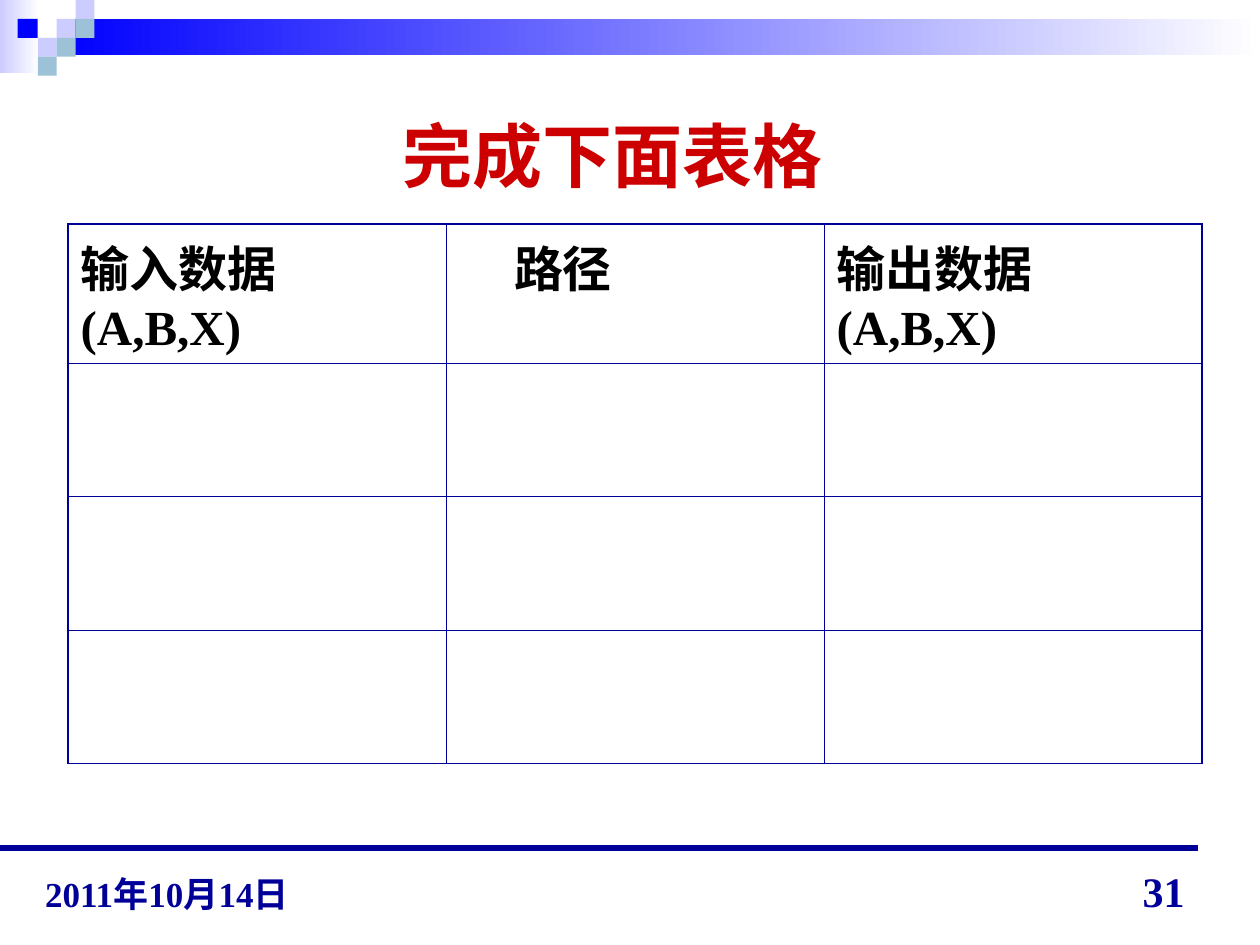
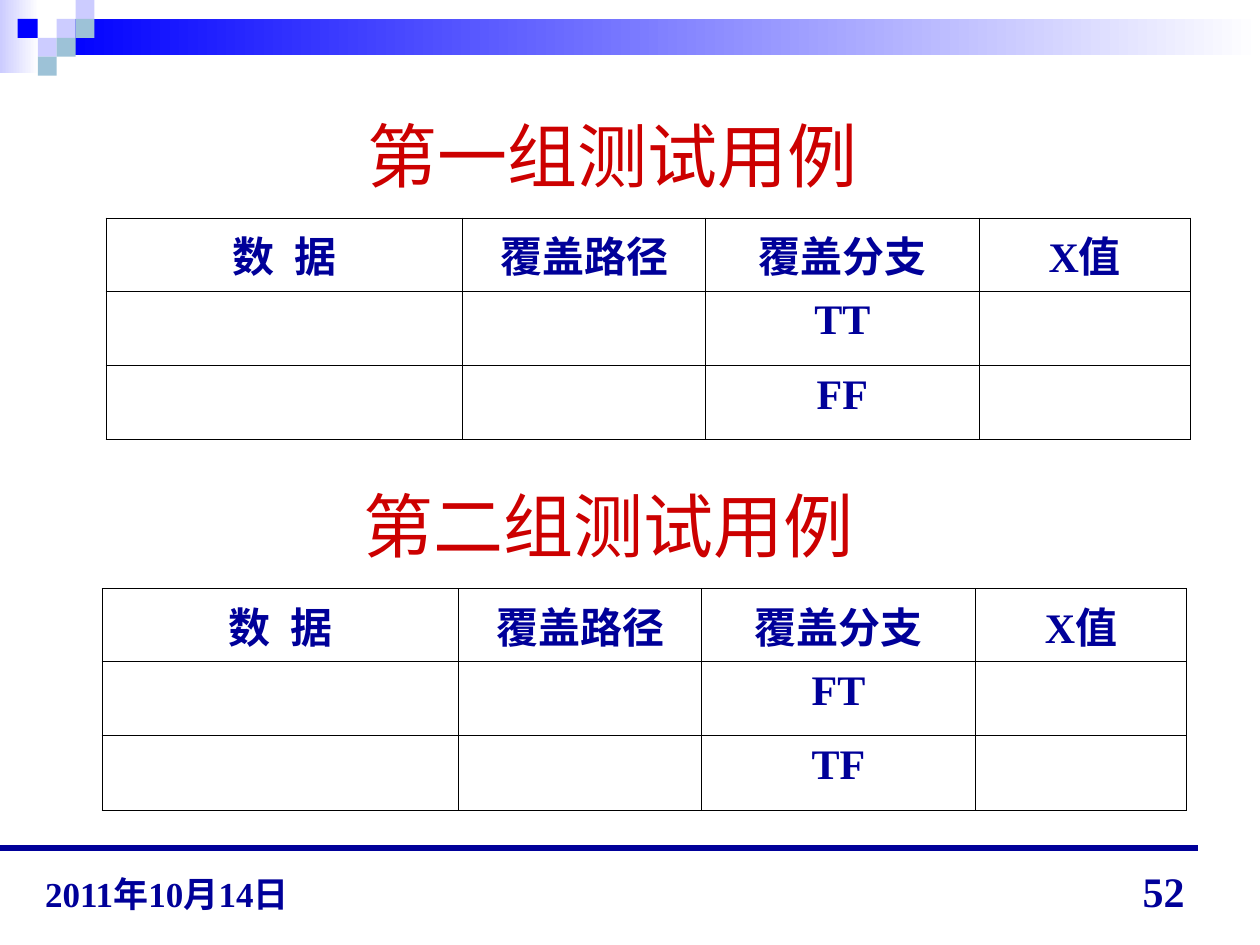
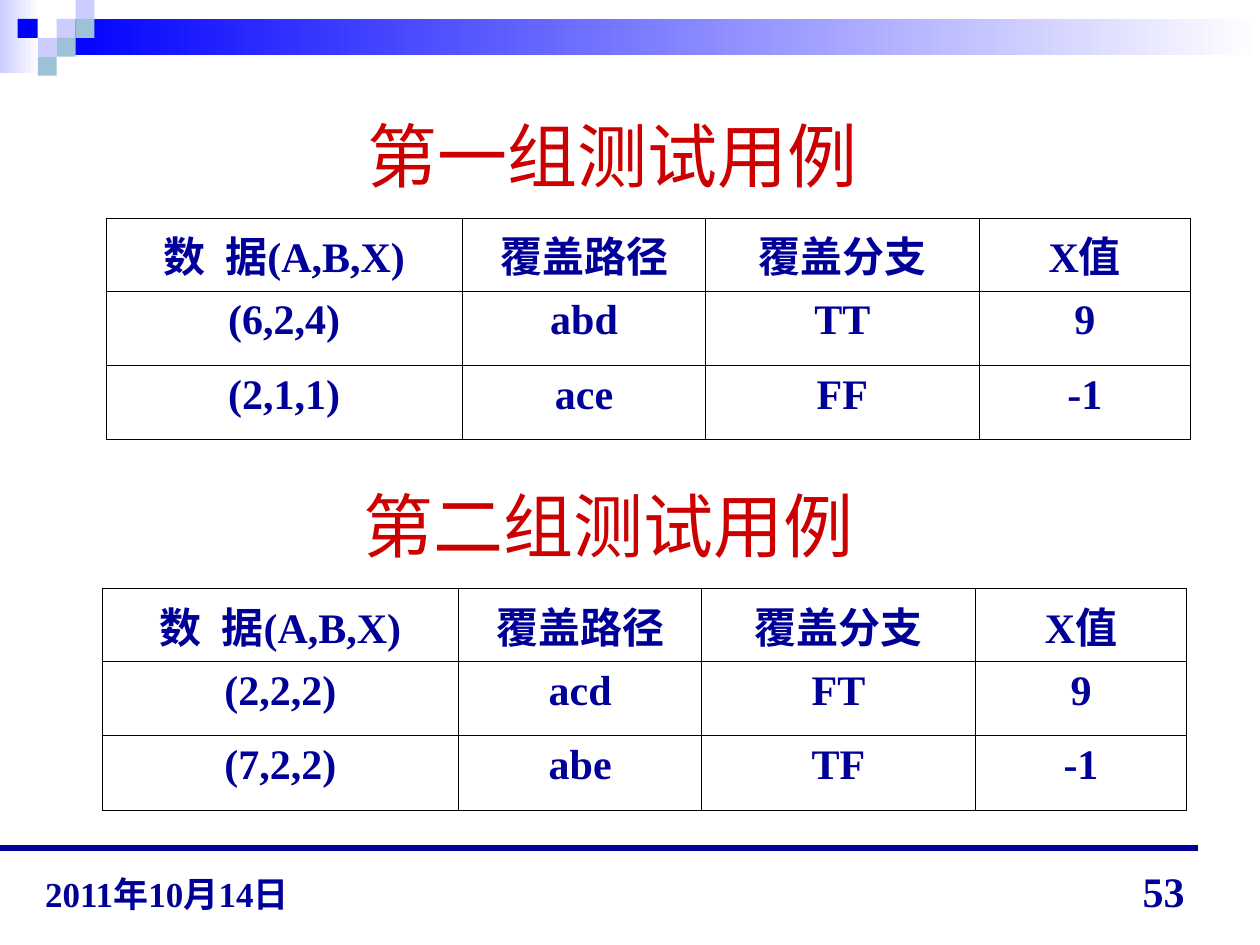
"""Build three slides of path-coverage test tables."""
from lxml.etree import SubElement
from pptx import Presentation
from pptx.dml.color import RGBColor
from pptx.enum.shapes import MSO_CONNECTOR, MSO_SHAPE
from pptx.enum.text import MSO_ANCHOR, MSO_AUTO_SIZE, PP_ALIGN
from pptx.oxml import parse_xml
from pptx.oxml.ns import nsdecls, qn
from pptx.util import Pt

PX = 9144
NAVY = RGBColor(0x00, 0x00, 0x99)
BLUE = RGBColor(0x00, 0x00, 0xFF)
LILAC = RGBColor(0xCC, 0xCC, 0xFF)
TEAL = RGBColor(0x9D, 0xC2, 0xD7)
RED = RGBColor(0xCC, 0x00, 0x00)
WHITE = RGBColor(0xFF, 0xFF, 0xFF)
BLACK = RGBColor(0x00, 0x00, 0x00)

TITLE = {"name": "Arial", "size": Pt(40), "bold": False}
TITLE_BOLD = {**TITLE, "bold": True}
HEAD = {"name": "Times New Roman", "size": Pt(28), "bold": True}
BODY = {**HEAD, "size": Pt(24)}
DATE = {**HEAD, "size": Pt(20)}
THIN, THICK = Pt(0.45), Pt(1.08)


def write(tf, text, fmt, color, align, anchor=MSO_ANCHOR.TOP):
    """Fill a text frame with one formatted line, widening a word space."""
    tf.word_wrap = True
    tf.vertical_anchor = anchor
    p = tf.paragraphs[0]
    p.alignment = align
    for part in filter(None, text.partition(" ")):
        r = p.add_run()
        r.text = part
        for key, value in fmt.items():
            setattr(r.font, key, value)
        r.font.color.rgb = color
        if part == " ":
            r._r.get_or_add_rPr().set("spc", "600")


def add_grid(s, box, cols, heights, rows, fmt, color, align, line, outer):
    """Add a plain table with ruled cells."""
    tbl = s.shapes.add_table(len(rows), len(cols), *[v * PX for v in box]).table
    tbl.first_row = tbl.horz_banding = False
    for col, width in zip(tbl.columns, cols):
        col.width = width * PX
    for i, (row, height) in enumerate(zip(rows, heights)):
        tbl.rows[i].height = height * PX
        for j, text in enumerate(row):
            cell = tbl.cell(i, j)
            cell.fill.background()
            if text:
                write(cell.text_frame, text, fmt, color, align)
            edges = {"L": j == 0, "R": j == len(cols) - 1, "T": i == 0, "B": i == len(rows) - 1}
            tcPr = cell._tc.get_or_add_tcPr()
            for n, (side, outside) in enumerate(edges.items()):
                tcPr.insert(n, parse_xml(
                    f'<a:ln{side} {nsdecls("a")} w="{outer if outside else THIN}">'
                    f'<a:solidFill><a:srgbClr val="{line}"/></a:solidFill></a:ln{side}>'))
    return tbl


prs = Presentation()
prs.slide_width, prs.slide_height = 1000 * PX, 750 * PX
layout = prs.slide_layouts[5]
slides = [prs.slides.add_slide(layout) for _ in range(3)]

band = [
    (0, 0, 31, 58, LILAC, True),
    (45, 15, 955, 29, BLUE, True),
    (45, 15, 15, 15, LILAC, False),
    (60, 0, 15, 15, LILAC, False),
    (60, 15, 15, 15, TEAL, False),
    (30, 30, 15, 15, LILAC, False),
    (14, 15, 16, 15, BLUE, False),
    (45, 30, 15, 15, TEAL, False),
    (30, 45, 15, 15, TEAL, False),
]
shared = []
for *box, color, fades in band:
    sp = slides[0].shapes.add_shape(MSO_SHAPE.RECTANGLE, *[v * PX for v in box])
    sp.shadow.inherit = False
    sp.line.fill.background()
    if fades:
        sp.fill.gradient()
        sp.fill.gradient_angle = 0
        for stop, tint in zip(sp.fill.gradient_stops, (color, WHITE)):
            stop.color.rgb = tint
    else:
        sp.fill.solid()
        sp.fill.fore_color.rgb = color
    shared.append(sp)

rule = slides[0].shapes.add_connector(MSO_CONNECTOR.STRAIGHT, 0, 673 * PX, 951 * PX, 673 * PX)
rule.line.color.rgb = NAVY
rule.line.width = Pt(3.25)
SubElement(rule.element.spPr, qn("a:effectLst"))
shared.append(rule)

for n, sp in enumerate(shared, 100):
    sp.element.xpath(".//p:cNvPr")[0].set("id", str(n))
    prs.slide_master.shapes.element.append(sp.element)

pages = [
    ("31", "完成下面表格", TITLE_BOLD),
    ("52", "第一组测试用例", TITLE),
    ("53", "第一组测试用例", TITLE),
]
for s, (number, title, fmt) in zip(slides, pages):
    sp = s.shapes.title
    sp.left, sp.top, sp.width, sp.height = [v * PX for v in (36, 48, 900, 150)]
    sp.text_frame.auto_size = MSO_AUTO_SIZE.NONE
    write(sp.text_frame, title, fmt, RED, PP_ALIGN.CENTER, MSO_ANCHOR.MIDDLE)
    for box, text, style, align in [
        ((717, 682, 233, 50), number, BODY, PP_ALIGN.RIGHT),
        ((26, 679, 257, 52), "2011年10月14日", DATE, PP_ALIGN.LEFT),
    ]:
        sp = s.shapes.add_textbox(*[v * PX for v in box])
        write(sp.text_frame, text, style, NAVY, align, MSO_ANCHOR.BOTTOM)

rows = [("输入数据(A,B,X)", "路径", "输出数据(A,B,X)")] + [("", "", "")] * 3
tbl = add_grid(slides[0], (54, 178, 900, 428), [300] * 3, [110] + [106] * 3, rows,
               HEAD, BLACK, PP_ALIGN.LEFT, NAVY, THICK)
tbl.cell(0, 1).margin_left = 54 * PX

cases = [
    (84, 173, [("(6,2,4)", "abd", "TT", "9"), ("(2,1,1)", "ace", "FF", "-1")]),
    (81, 467, [("(2,2,2)", "acd", "FT", "9"), ("(7,2,2)", "abe", "TF", "-1")]),
]
for s, data_head, solved in [(slides[1], "数 据", False), (slides[2], "数 据(A,B,X)", True)]:
    for left, top, answers in cases:
        rows = [(data_head, "覆盖路径", "覆盖分支", "X值")]
        for row in answers:
            rows.append(row if solved else ("", "", row[2], ""))
        add_grid(s, (left, top, 861, 176), [283, 193, 217, 168], [58, 59, 59], rows,
                 BODY, NAVY, PP_ALIGN.CENTER, BLACK, THIN)
    sp = s.shapes.add_textbox(*[v * PX for v in (33, 341, 900, 150)])
    write(sp.text_frame, "第二组测试用例", TITLE, RED, PP_ALIGN.CENTER, MSO_ANCHOR.MIDDLE)

prs.save("out.pptx")
